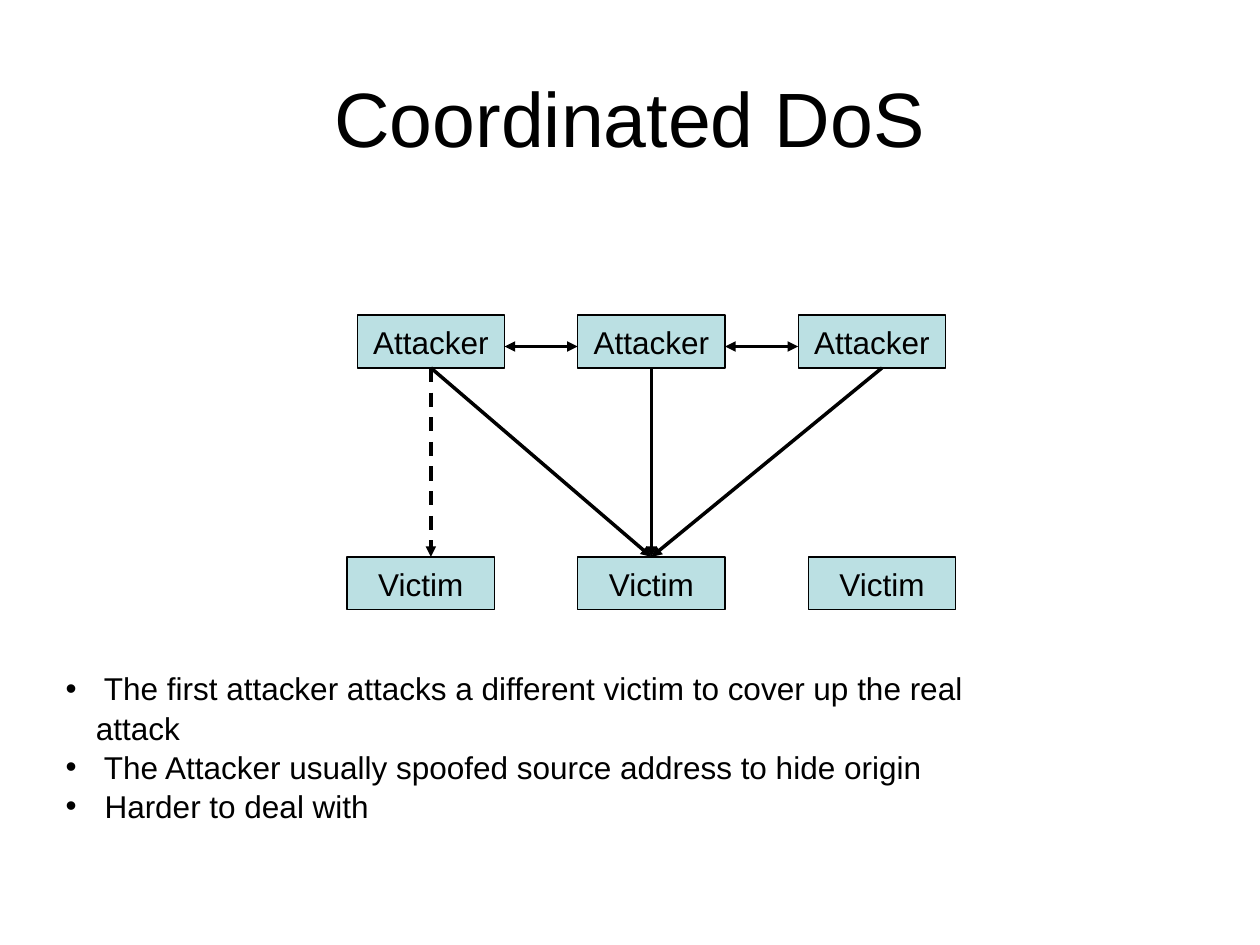
from lxml import etree
from pptx import Presentation
from pptx.dml.color import RGBColor
from pptx.enum.dml import MSO_LINE
from pptx.enum.shapes import MSO_CONNECTOR, MSO_SHAPE
from pptx.enum.text import MSO_ANCHOR, MSO_AUTO_SIZE, PP_ALIGN
from pptx.oxml.ns import qn
from pptx.util import Inches, Pt


def color(hex_value):
    return RGBColor.from_string(hex_value)


def write(paragraph, text, size, formats):
    run = paragraph.add_run()
    run.text = text
    run.font.name = "Arial"
    run.font.size = Pt(size)
    run.font.color.rgb = color("000000")
    for name, value in formats.items():
        setattr(paragraph, name, value)


presentation = Presentation()
presentation.slide_width = Inches(10)
presentation.slide_height = Inches(7.5)
slide = presentation.slides.add_slide(presentation.slide_layouts[1])
shapes = slide.shapes

centered = {"alignment": PP_ALIGN.CENTER}
single_spaced = {"space_before": Pt(0), "space_after": Pt(0), "line_spacing": 1.04}

heading = shapes.title
heading.left, heading.top = Inches(0.5), Inches(0.3)
heading.width, heading.height = Inches(9), Inches(1.25)
heading.text_frame.auto_size = MSO_AUTO_SIZE.NONE
heading.text_frame.vertical_anchor = MSO_ANCHOR.MIDDLE
write(heading.text_frame.paragraphs[0], "Coordinated DoS", 44, centered)

middle = 5.17
box_width, box_height = 1.17, 0.42
attacker_top, victim_top = 2.5, 4.42
attacker_bottom = attacker_top + box_height
attacker_pitch, victim_pitch = 1.75, 1.83

for role, top, pitch in (
    ("Attacker", attacker_top, attacker_pitch),
    ("Victim", victim_top, victim_pitch),
):
    for step in (-1, 0, 1):
        left = middle + step * pitch - box_width / 2
        host = shapes.add_shape(
            MSO_SHAPE.RECTANGLE,
            Inches(left), Inches(top), Inches(box_width), Inches(box_height),
        )
        host.shadow.inherit = False
        host.fill.solid()
        host.fill.fore_color.rgb = color("BBE0E3")
        host.line.color.rgb = color("000000")
        host.line.width = Pt(0.75)
        host.text_frame.word_wrap = False
        host.text_frame.vertical_anchor = MSO_ANCHOR.MIDDLE
        write(host.text_frame.paragraphs[0], role, 18, centered)

first = middle - attacker_pitch
last = middle + attacker_pitch
half = box_width / 2
link_y = 2.75
both_ends, target_end = ("headEnd", "tailEnd"), ("tailEnd",)

for x1, y1, x2, y2, ends, dash in (
    (first + half, link_y, middle - half, link_y, both_ends, None),
    (middle + half, link_y, last - half, link_y, both_ends, None),
    (first, attacker_bottom, middle, victim_top, target_end, None),
    (middle, attacker_bottom, middle, victim_top, target_end, None),
    (last + 0.08, attacker_bottom, middle, victim_top, target_end, None),
    (first, attacker_bottom, first, victim_top, target_end, MSO_LINE.DASH),
):
    arrow = shapes.add_connector(
        MSO_CONNECTOR.STRAIGHT, Inches(x1), Inches(y1), Inches(x2), Inches(y2)
    )
    arrow.line.color.rgb = color("000000")
    arrow.line.width = Pt(2)
    if dash:
        arrow.line.dash_style = dash
    for end in ends:
        etree.SubElement(arrow.line._get_or_add_ln(), qn(f"a:{end}"), type="triangle")
    etree.SubElement(arrow._element.spPr, qn("a:effectLst"))

notes_list = slide.placeholders[1]
notes_list.left, notes_list.top = Inches(0.42), Inches(5.25)
notes_list.width, notes_list.height = Inches(7.91), Inches(1.35)
points = notes_list.text_frame
points.word_wrap = True
points.auto_size = MSO_AUTO_SIZE.NONE
points.vertical_anchor = MSO_ANCHOR.TOP

for index, point in enumerate((
    " The first attacker attacks a different victim to cover up the real attack",
    " The Attacker usually spoofed source address to hide origin",
    " Harder to deal with",
)):
    paragraph = points.add_paragraph() if index else points.paragraphs[0]
    write(paragraph, point, 18, single_spaced)
    properties = paragraph._p.get_or_add_pPr()
    properties.set("marL", str(Inches(0.24)))
    properties.set("indent", str(-Inches(0.24)))
    etree.SubElement(properties, qn("a:buFont"), typeface="Arial")
    etree.SubElement(properties, qn("a:buChar"), char="•")

presentation.save("out.pptx")
